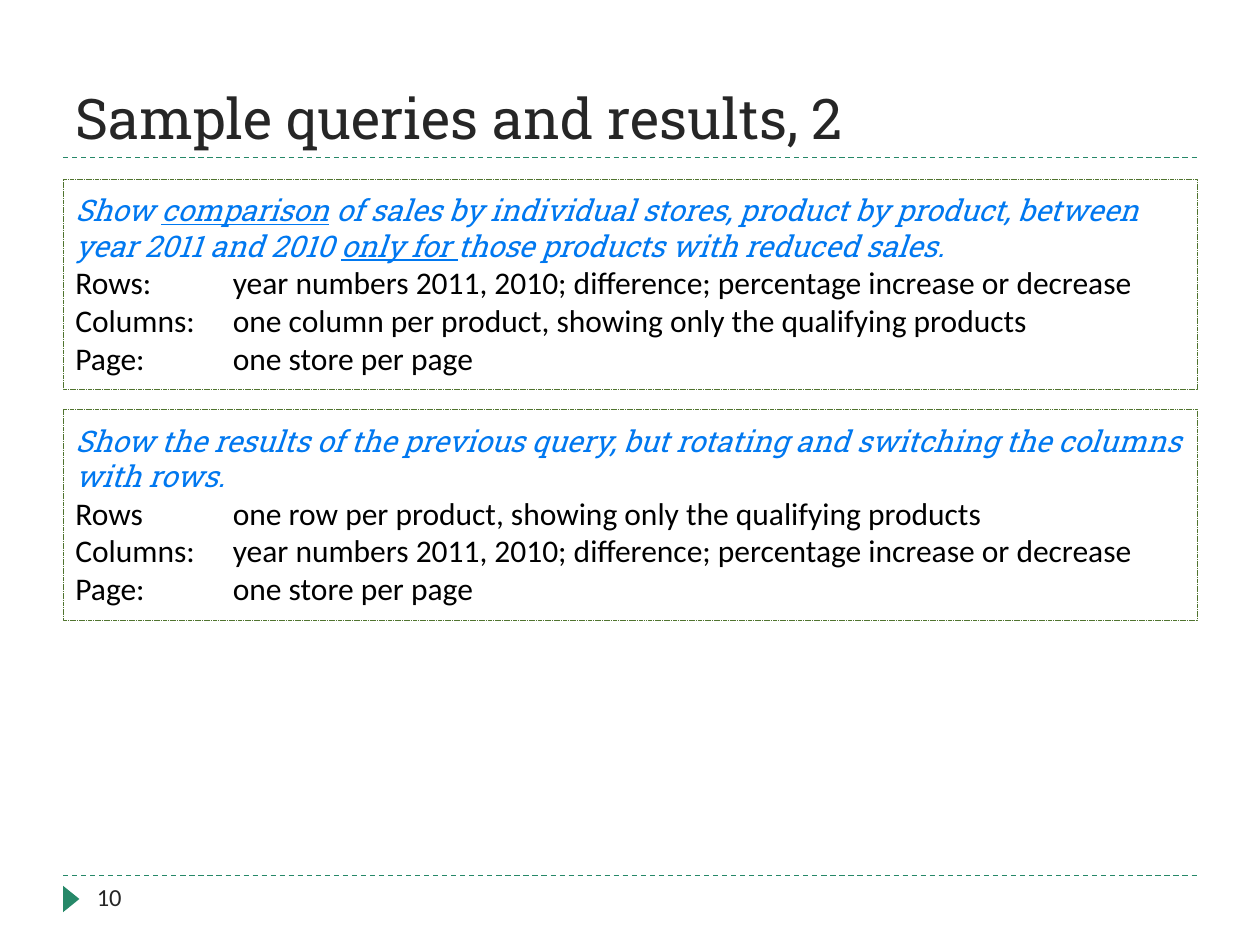
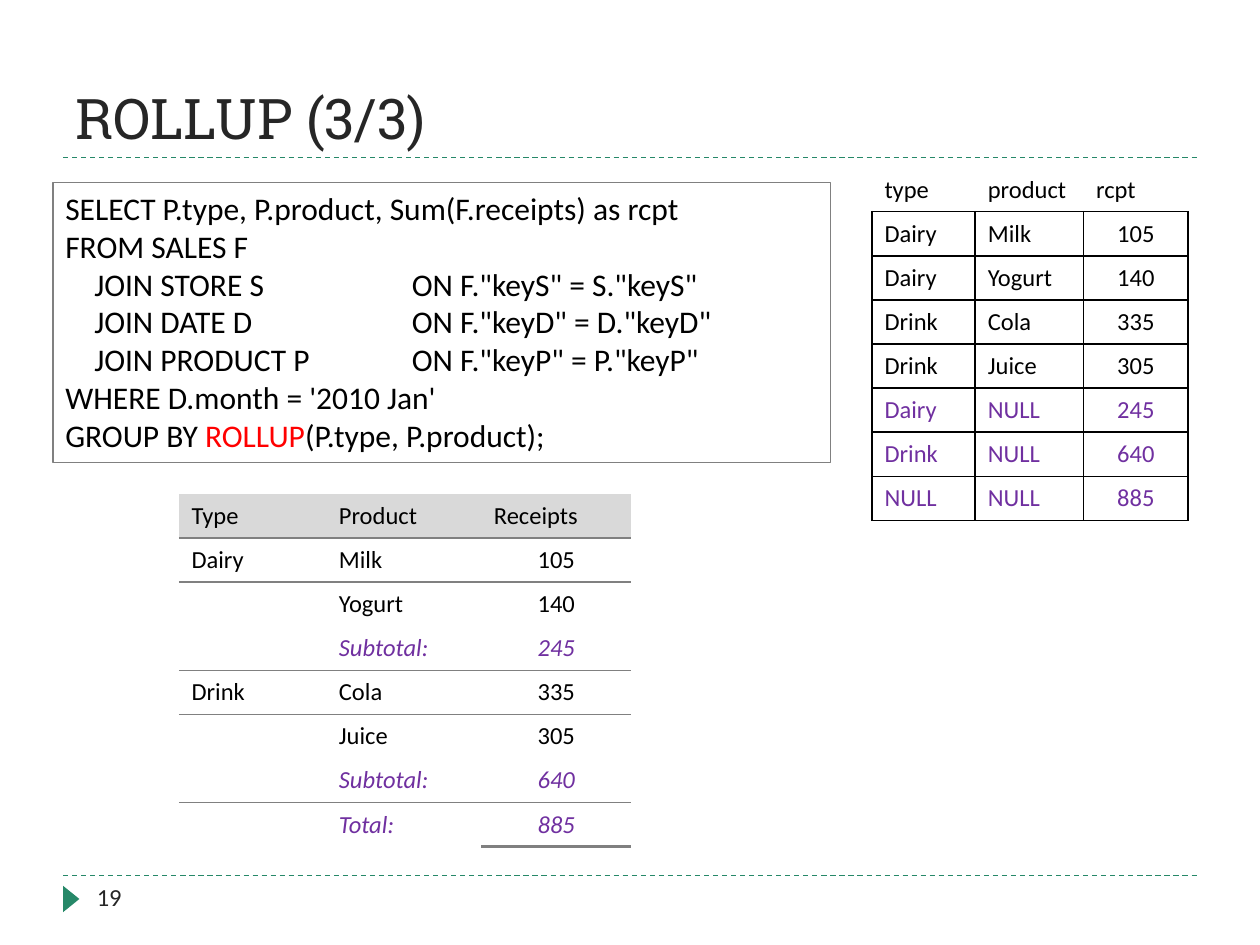
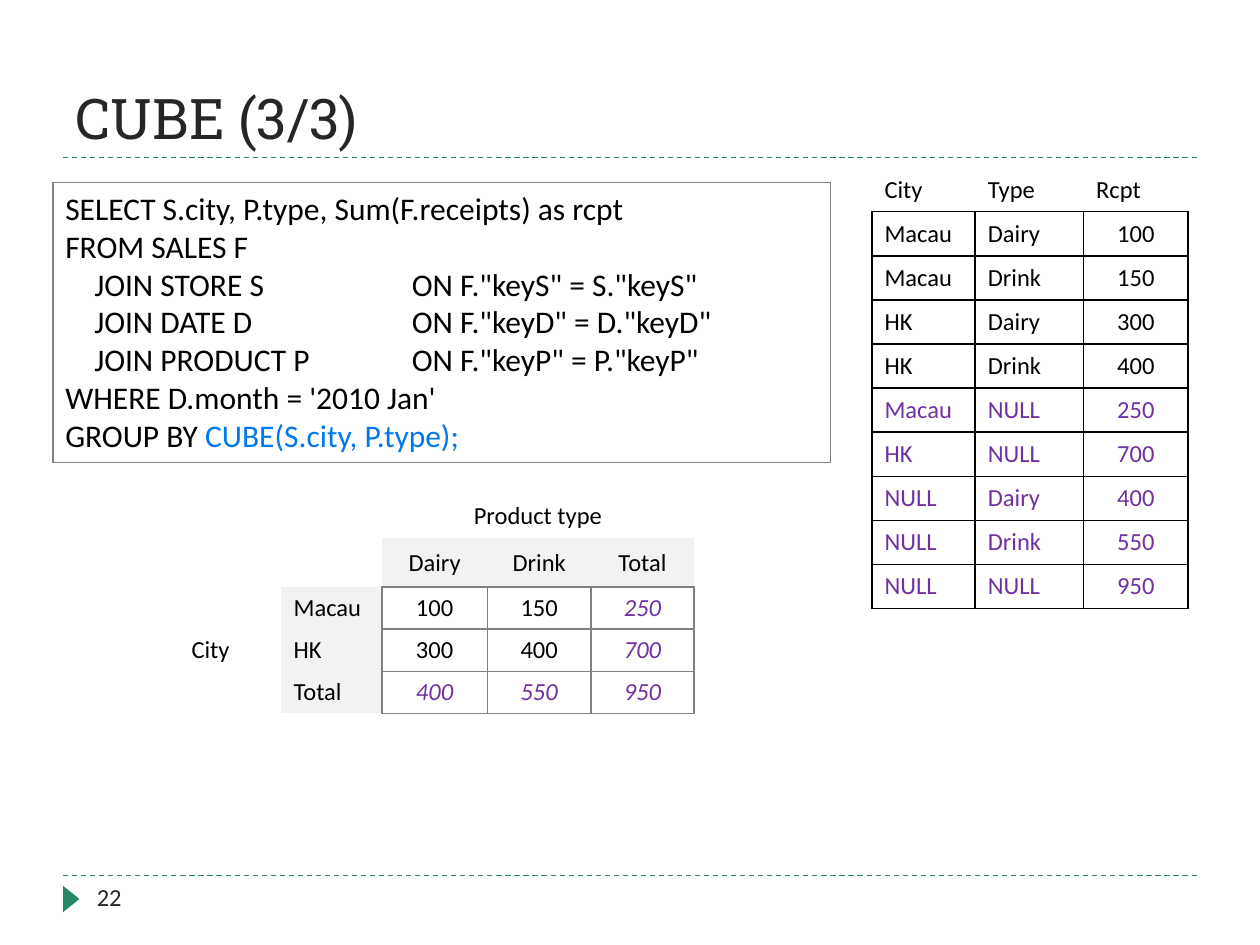
"""Build three slides on OLAP queries: sample queries, ROLLUP and CUBE."""

from dataclasses import dataclass, field
from typing import NamedTuple, Optional, Sequence

import pptx
import pptx.dml.color
import pptx.enum.dml
import pptx.enum.shapes
import pptx.enum.text
import pptx.oxml.ns
import pptx.oxml.xmlchemy
import pptx.presentation
import pptx.shapes.autoshape
import pptx.slide
import pptx.text.text
import pptx.util
from lxml import etree

Inches = pptx.util.Inches
Pt = pptx.util.Pt
qn = pptx.oxml.ns.qn

COLORS = {
    "accent": "268868",
    "title": "262626",
    "text": "000000",
    "paper": "FFFFFF",
    "query": "0078F0",
    "keyword": "FF0000",
    "summary": "7030A0",
    "query border": "50742F",
    "gray line": "808080",
    "header fill": "D9D9D9",
    "label fill": "F2F2F2",
}
BODY_FONT = "Calibri"
HEADING_FONT = "Roboto Slab"
TITLE_ONLY_LAYOUT = 5
PLAIN_TABLE_STYLE = "{2D5ABB26-0587-4C30-8999-92F81FD0307C}"
SIDES = {"left": "lnL", "right": "lnR", "top": "lnT", "bottom": "lnB"}
ROW_HEIGHT = 0.35


class Box(NamedTuple):
    left: float
    top: float
    width: float
    height: float

    def lengths(self) -> list[pptx.util.Length]:
        return [Inches(value) for value in self]


class Span(NamedTuple):
    text: str
    color: Optional[str] = None
    underline: bool = False


@dataclass(frozen=True)
class Style:
    size: float = 18
    font: str = BODY_FONT
    color: str = "text"
    italic: bool = False


@dataclass(frozen=True)
class Line:
    spans: Sequence[Span]
    style: Style = Style()
    tabs: Sequence[float] = ()


@dataclass
class Cell:
    text: str = ""
    color: str = "text"
    italic: bool = False
    centered: bool = False
    fill: Optional[str] = None
    borders: dict[str, float] = field(default_factory=dict)


@dataclass(frozen=True)
class Grid:
    left: float
    top: float
    widths: Sequence[float]
    heights: Sequence[float]
    cells: Sequence[Sequence[Cell]]
    line_color: str
    merges: Sequence[tuple[int, int, int, int]] = ()


TITLE_STYLE = Style(32, HEADING_FONT, "title")
NUMBER_STYLE = Style(14, color="title")
QUERY_STYLE = Style(17, HEADING_FONT, "query", italic=True)


def rgb(name: str) -> pptx.dml.color.RGBColor:
    return pptx.dml.color.RGBColor.from_string(COLORS[name])


def apply_style(paragraph: pptx.text.text._Paragraph, style: Style) -> None:
    font = paragraph.font
    font.size = Pt(style.size)
    font.name = style.font
    font.italic = style.italic
    font.color.rgb = rgb(style.color)


def write_lines(frame: pptx.text.text.TextFrame, lines: Sequence[Line]) -> None:
    for index, line in enumerate(lines):
        paragraph = frame.paragraphs[0] if index == 0 else frame.add_paragraph()
        paragraph.alignment = pptx.enum.text.PP_ALIGN.LEFT
        apply_style(paragraph, line.style)
        if line.tabs:
            tab_list = etree.Element(qn("a:tabLst"))
            for position in line.tabs:
                etree.SubElement(tab_list, qn("a:tab"), pos=str(Inches(position)), algn="l")
            paragraph._p.get_or_add_pPr().insert(0, tab_list)
        for span in line.spans:
            run = paragraph.add_run()
            run.text = span.text
            if span.color:
                run.font.color.rgb = rgb(span.color)
            if span.underline:
                run.font.underline = True


def draw_rule(slide: pptx.slide.Slide, top: float) -> None:
    rule = slide.shapes.add_connector(
        pptx.enum.shapes.MSO_CONNECTOR.STRAIGHT, Inches(0.5), Inches(top), Inches(9.5), Inches(top)
    )
    rule.line.color.rgb = rgb("accent")
    rule.line.width = Pt(0.75)
    rule.line.dash_style = pptx.enum.dml.MSO_LINE.DASH
    etree.SubElement(rule._element.spPr, qn("a:effectLst"))


def add_framed_slide(
    presentation: pptx.presentation.Presentation, title_text: str, number: int
) -> pptx.slide.Slide:
    slide = presentation.slides.add_slide(presentation.slide_layouts[TITLE_ONLY_LAYOUT])
    for top in (6.95, 1.25):
        draw_rule(slide, top)

    marker = slide.shapes.add_shape(
        pptx.enum.shapes.MSO_SHAPE.ISOSCELES_TRIANGLE, *Box(0.46, 7.07, 0.21, 0.13).lengths()
    )
    marker.rotation = 90
    marker.shadow.inherit = False
    marker.fill.solid()
    marker.fill.fore_color.rgb = rgb("accent")
    marker.line.fill.background()

    title = slide.shapes.title
    title.left, title.top, title.width, title.height = Box(0.5, 0.25, 9, 1).lengths()
    title.text_frame.auto_size = pptx.enum.text.MSO_AUTO_SIZE.NONE
    title.text_frame.vertical_anchor = pptx.enum.text.MSO_ANCHOR.BOTTOM
    write_lines(title.text_frame, [Line([Span(title_text)], TITLE_STYLE)])

    number_box = slide.shapes.add_textbox(*Box(0.67, 6.95, 2.17, 0.4).lengths())
    number_box.text_frame.word_wrap = True
    write_lines(number_box.text_frame, [Line([Span(str(number))], NUMBER_STYLE)])
    return slide


def draw_panel(
    slide: pptx.slide.Slide, box: Box, lines: Sequence[Line], border: str, border_width: float
) -> pptx.shapes.autoshape.Shape:
    panel = slide.shapes.add_shape(pptx.enum.shapes.MSO_SHAPE.RECTANGLE, *box.lengths())
    panel.shadow.inherit = False
    panel.fill.solid()
    panel.fill.fore_color.rgb = rgb("paper")
    panel.line.color.rgb = rgb(border)
    panel.line.width = Pt(border_width)
    panel.text_frame.word_wrap = True
    write_lines(panel.text_frame, lines)
    return panel


def draw_sample_query(
    slide: pptx.slide.Slide, top: float, query: Sequence[Span], layout: Sequence[str]
) -> None:
    lines = [Line(query, QUERY_STYLE)]
    lines += [Line([Span(text)], tabs=(1.25,)) for text in layout]
    panel = draw_panel(slide, Box(0.5, top, 9, 1.67), lines, "query border", 0.25)
    panel.line.dash_style = pptx.enum.dml.MSO_LINE.SQUARE_DOT
    panel.text_frame.vertical_anchor = pptx.enum.text.MSO_ANCHOR.MIDDLE


def draw_sql(slide: pptx.slide.Slide, columns: str, grouping: Sequence[Span]) -> None:
    joins = [("STORE S", "S"), ("DATE D", "D"), ("PRODUCT P", "P")]
    statements = [[Span(f"SELECT {columns}, Sum(F.receipts) as rcpt")], [Span("FROM SALES F")]]
    statements += [
        [Span(f'\tJOIN {table}\tON F."key{alias}" = {alias}."key{alias}"')] for table, alias in joins
    ]
    statements += [[Span("WHERE D.month = '2010 Jan'")], [Span("GROUP BY "), *grouping]]
    lines = [Line(spans, tabs=(0.23, 2.75)) for spans in statements]
    panel = draw_panel(slide, Box(0.42, 1.45, 6.17, 2.22), lines, "gray line", 0.75)
    panel.text_frame.vertical_anchor = pptx.enum.text.MSO_ANCHOR.TOP
    panel.text_frame.auto_size = pptx.enum.text.MSO_AUTO_SIZE.SHAPE_TO_FIT_TEXT


def draw_border(
    properties: pptx.oxml.xmlchemy.BaseOxmlElement, side: str, width: float, color: str
) -> None:
    line = etree.SubElement(properties, qn(f"a:{SIDES[side]}"), w=str(Pt(width)))
    fill = etree.SubElement(line, qn("a:solidFill"))
    etree.SubElement(fill, qn("a:srgbClr"), val=COLORS[color])


def draw_table(slide: pptx.slide.Slide, grid: Grid) -> None:
    box = Box(grid.left, grid.top, sum(grid.widths), sum(grid.heights))
    table = slide.shapes.add_table(len(grid.heights), len(grid.widths), *box.lengths()).table
    table.first_row = False
    table.horz_banding = False
    table._tbl.tblPr.find(qn("a:tableStyleId")).text = PLAIN_TABLE_STYLE
    for column, width in zip(table.columns, grid.widths):
        column.width = Inches(width)
    for row, height in zip(table.rows, grid.heights):
        row.height = Inches(height)
    for row, cells in zip(table.rows, grid.cells):
        for target, cell in zip(row.cells, cells):
            target.vertical_anchor = pptx.enum.text.MSO_ANCHOR.MIDDLE
            if not cell.text:
                target.margin_top = target.margin_bottom = 0
            for side in SIDES:
                if side in cell.borders:
                    draw_border(
                        target._tc.get_or_add_tcPr(), side, cell.borders[side], grid.line_color
                    )
            if cell.fill:
                target.fill.solid()
                target.fill.fore_color.rgb = rgb(cell.fill)
            else:
                target.fill.background()
            style = Style(14, color=cell.color, italic=cell.italic)
            write_lines(target.text_frame, [Line([Span(cell.text)] if cell.text else [], style)])
            if cell.centered:
                target.text_frame.paragraphs[0].alignment = pptx.enum.text.PP_ALIGN.CENTER
    for top, left, bottom, right in grid.merges:
        table.cell(top, left).merge(table.cell(bottom, right))


def draw_result(
    slide: pptx.slide.Slide, header: Sequence[str], records: Sequence[Sequence[str]]
) -> None:
    cells = [[Cell(text, borders={"bottom": 1}) for text in header]]
    for record in records:
        color = "summary" if "NULL" in record else "text"
        cells.append(
            [
                Cell(text, color, centered=text.isdigit(), borders=dict.fromkeys(SIDES, 1))
                for text in record
            ]
        )
    heights = [ROW_HEIGHT] * len(cells)
    draw_table(slide, Grid(6.92, 1.33, (0.82, 0.86, 0.83), heights, cells, "text"))


def draw_receipts_report(slide: pptx.slide.Slide, records: Sequence[Sequence[str]]) -> None:
    cells = [
        [
            Cell(text, fill="header fill", borders={"bottom": 1})
            for text in ("Type", "Product", "Receipts")
        ]
    ]
    for record in records:
        summary = record[1].endswith(":")
        starts_group = bool(record[0]) or record[1] == "Total:"
        ends_group = record[1] == "Subtotal:"
        cells.append(
            [
                Cell(
                    text,
                    "summary" if summary else "text",
                    italic=summary,
                    centered=text.isdigit(),
                    borders={
                        **({"top": 1} if starts_group else {}),
                        **({"bottom": 1} if ends_group else {}),
                    },
                )
                for text in record
            ]
        )
    cells[-1][-1].borders["bottom"] = 2.25
    heights = [ROW_HEIGHT] * len(cells)
    draw_table(slide, Grid(1.42, 3.92, (1.17, 1.23, 1.19), heights, cells, "gray line"))


def draw_cross_table(
    slide: pptx.slide.Slide, types: Sequence[str], cities: dict[str, Sequence[str]]
) -> None:
    cells = [
        [Cell(), Cell(), Cell("Product type", centered=True), Cell(), Cell()],
        [Cell(), Cell()]
        + [Cell(text, centered=True, fill="label fill", borders={"bottom": 1}) for text in types],
    ]
    for index, (city, amounts) in enumerate(cities.items()):
        row = [
            Cell("City" if index == 0 else ""),
            Cell(city, fill="label fill", borders={"right": 1}),
        ]
        for heading, amount in zip(types, amounts):
            summary = "Total" in (city, heading)
            row.append(
                Cell(
                    amount,
                    "summary" if summary else "text",
                    italic=summary,
                    centered=True,
                    borders=dict.fromkeys(SIDES, 1),
                )
            )
        cells.append(row)
    heights = [0.35, 0.39] + [0.33] * len(cities)
    merges = [(0, 2, 0, 4), (2, 0, 4, 0)]
    widths = (0.81, 0.8, 0.84, 0.82, 0.82)
    draw_table(slide, Grid(1.42, 3.92, widths, heights, cells, "gray line", merges))


def build_sample_queries(presentation: pptx.presentation.Presentation) -> None:
    slide = add_framed_slide(presentation, "Sample queries and results, 2", 10)
    years = "year numbers 2011, 2010; difference; percentage increase or decrease"
    qualifying = "per product, showing only the qualifying products"
    page = "Page:\tone store per page"
    comparison = [
        Span("Show "),
        Span("comparison", underline=True),
        Span(" of sales by individual stores, product by product, between year 2011 and 2010 "),
        Span("only for ", underline=True),
        Span("those products with reduced sales."),
    ]
    rotation = [
        Span(
            "Show the results of the previous query, "
            "but rotating and switching the columns with rows."
        )
    ]
    draw_sample_query(
        slide, 1.42, comparison, [f"Rows:\t{years}", f"Columns:\tone column {qualifying}", page]
    )
    draw_sample_query(
        slide, 3.25, rotation, [f"Rows\tone row {qualifying}", f"Columns:\t{years}", page]
    )


def build_rollup(presentation: pptx.presentation.Presentation) -> None:
    slide = add_framed_slide(presentation, "ROLLUP (3/3)", 19)
    draw_sql(
        slide, "P.type, P.product", [Span("ROLLUP", "keyword"), Span("(P.type, P.product);")]
    )
    draw_receipts_report(
        slide,
        [
            ("Dairy", "Milk", "105"),
            ("", "Yogurt", "140"),
            ("", "Subtotal:", "245"),
            ("Drink", "Cola", "335"),
            ("", "Juice", "305"),
            ("", "Subtotal:", "640"),
            ("", "Total:", "885"),
        ],
    )
    draw_result(
        slide,
        ("type", "product", "rcpt"),
        [
            ("Dairy", "Milk", "105"),
            ("Dairy", "Yogurt", "140"),
            ("Drink", "Cola", "335"),
            ("Drink", "Juice", "305"),
            ("Dairy", "NULL", "245"),
            ("Drink", "NULL", "640"),
            ("NULL", "NULL", "885"),
        ],
    )


def build_cube(presentation: pptx.presentation.Presentation) -> None:
    slide = add_framed_slide(presentation, "CUBE (3/3)", 22)
    draw_sql(slide, "S.city, P.type", [Span("CUBE(S.city, P.type);", "query")])
    types = ("Dairy", "Drink", "Total")
    cities = {
        "Macau": ("100", "150", "250"),
        "HK": ("300", "400", "700"),
        "Total": ("400", "550", "950"),
    }
    draw_cross_table(slide, types, cities)
    records = [
        tuple("NULL" if name == "Total" else name for name in (city, heading)) + (amount,)
        for city, amounts in cities.items()
        for heading, amount in zip(types, amounts)
    ]
    records.sort(key=lambda record: (record[0] == "NULL", record[1] == "NULL"))
    records.sort(key=lambda record: "NULL" in record)
    draw_result(slide, ("City", "Type", "Rcpt"), records)


def main() -> None:
    presentation = pptx.Presentation()
    presentation.slide_width = Inches(10)
    presentation.slide_height = Inches(7.5)
    build_sample_queries(presentation)
    build_rollup(presentation)
    build_cube(presentation)
    presentation.save("out.pptx")


if __name__ == "__main__":
    main()
